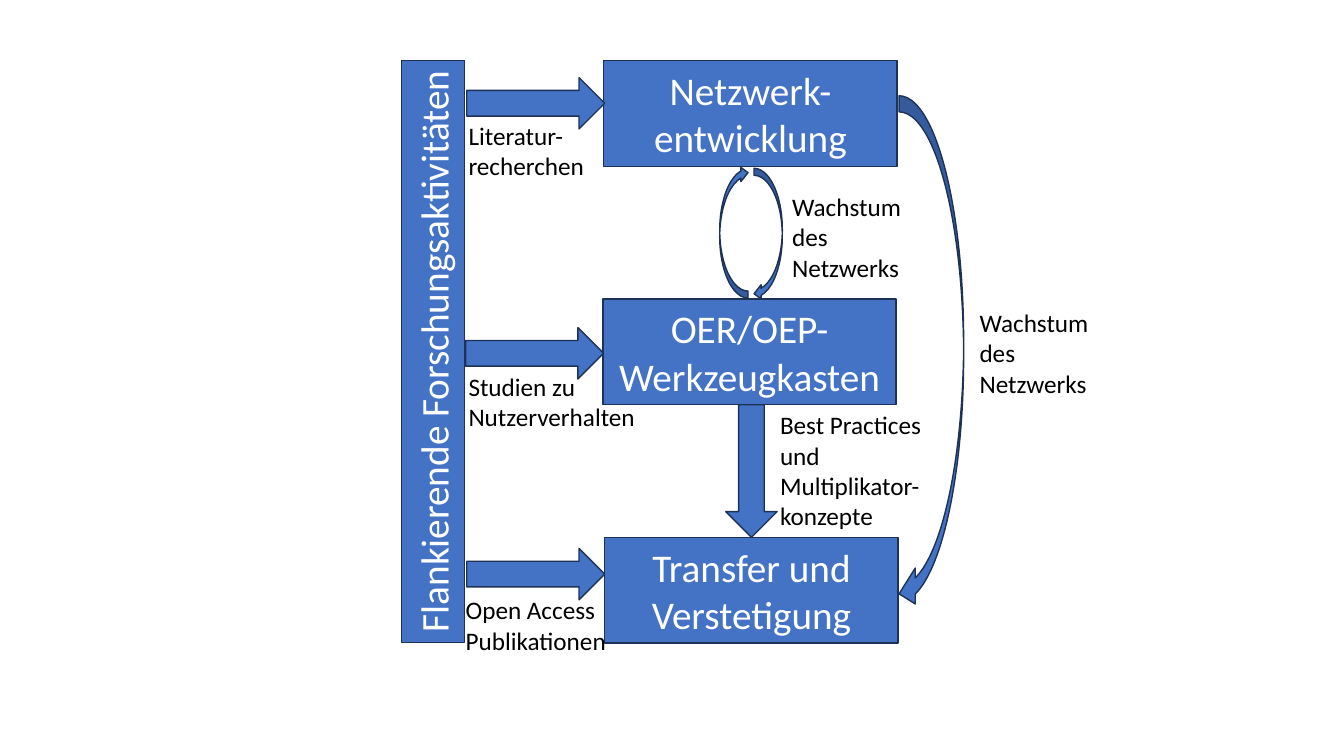
from pptx import Presentation
from pptx.dml.color import RGBColor
from pptx.enum.shapes import MSO_SHAPE as SHAPE
from pptx.enum.text import MSO_ANCHOR as ANCHOR, MSO_AUTO_SIZE as AUTO, PP_ALIGN as ALIGN
from pptx.util import Pt

BLUE, NAVY, WHITE, BLACK = "4472C4", "1E3256", "FFFFFF", "000000"
FONT = "Calibri"
GROWTH = ["Wachstum", "des", "Netzwerks"]
STAGE_W, STAGE_H, STAGE_STEP = 209.5, 75.6, 170.3
SHAFT = 36.7


def rgb(value):
    return RGBColor.from_string(value)


def add_run(p, text, size, color):
    r = p.add_run()
    r.text = text
    r.font.name, r.font.size = FONT, Pt(size)
    r.font.color.rgb = rgb(color)


def add_block(s, kind, x, y, w, h, angle=0):
    """Add a blue shape that covers the given box once it is turned."""
    if angle in (90, 270):
        x, y, w, h = x + (w - h) / 2, y + (h - w) / 2, h, w
    sp = s.shapes.add_shape(kind, Pt(x), Pt(y), Pt(w), Pt(h))
    sp.rotation = angle
    sp.shadow.inherit = False
    sp.fill.solid()
    sp.fill.fore_color.rgb = rgb(BLUE)
    sp.line.color.rgb = rgb(NAVY)
    sp.line.width = Pt(1)
    return sp


def add_box(s, text, x, y, w, h):
    sp = add_block(s, SHAPE.RECTANGLE, x, y, w, h)
    tf = sp.text_frame
    tf.word_wrap = True
    tf.vertical_anchor = ANCHOR.MIDDLE
    p = tf.paragraphs[0]
    p.alignment = ALIGN.CENTER
    add_run(p, text, 28, WHITE)
    return sp


def add_label(s, paragraphs, x, y, w, h):
    """Add a black label; a newline inside a paragraph is a line break."""
    tf = s.shapes.add_textbox(Pt(x), Pt(y), Pt(w), Pt(h)).text_frame
    tf.word_wrap = False
    tf.auto_size = AUTO.SHAPE_TO_FIT_TEXT
    for i, paragraph in enumerate(paragraphs):
        p = tf.add_paragraph() if i else tf.paragraphs[0]
        for j, line in enumerate(paragraph.split("\n")):
            if j:
                p.add_line_break()
            add_run(p, line, 18, BLACK)


def add_stages(s, x, y):
    """Stack the three stages and link them from top to bottom."""
    stages = [("Netzwerk-entwicklung", 0.7), ("OER/OEP-Werkzeugkasten", 0),
              ("Transfer und Verstetigung", 1.4)]
    for i, (text, shift) in enumerate(stages):
        add_box(s, text, x + shift, y + i * STAGE_STEP, STAGE_W, STAGE_H)

    gap = STAGE_STEP - STAGE_H
    for dx, dy, angle in [(83.5, 75, 270), (108, 77, 90)]:
        add_block(s, SHAPE.CURVED_DOWN_ARROW, x + dx, y + dy, 20.2, gap, angle)
    add_label(s, GROWTH, x + 128.1, y + 90, 97.2, 72.7)

    top = y + STAGE_STEP + STAGE_H
    add_block(s, SHAPE.DOWN_ARROW, x + 87.8, top, SHAFT, gap)
    add_label(s, ["Best Practices", "und", "Multiplikator-", "konzepte"],
              x + 119.5, top, 120.2, 94.3)


def add_growth_arc(s, x, y, w, h):
    arc = add_block(s, SHAPE.CURVED_DOWN_ARROW, x, y, w, h, 90)
    for i, value in enumerate([0.25, 0.557, 0.25]):
        arc.adjustments[i] = value
    add_label(s, GROWTH, x + w + 4.3, y + 147.6, 97.2, 72.7)


def add_research(s, x, y, w, h):
    """Draw the upright bar and its arrows towards the stages."""
    bar = add_box(s, "Flankierende Forschungsaktivitäten", x, y, w, h)
    bar.text_frame._txBody.bodyPr.set("vert", "vert270")
    activities = [
        (["Literatur-", "recherchen"], 12.2, 1.4, 38.9, -4.4, 97.9),
        (["Studien zu \nNutzerverhalten"], 190.8, 0.6, 218.2, -4.4, 134.6),
        (["Open Access\nPublikationen"], 348.5, 1.4, 378, -6.5, 115.9),
    ]
    for text, arrow_y, arrow_dx, label_y, label_dx, label_w in activities:
        add_block(s, SHAPE.DOWN_ARROW, x + w + arrow_dx, y + arrow_y, 98.6, SHAFT, 270)
        add_label(s, text, x + w + label_dx, y + label_y, label_w, 51.1)


def main():
    prs = Presentation()
    prs.slide_width, prs.slide_height = Pt(960), Pt(540)
    s = prs.slides.add_slide(prs.slide_layouts[6])
    add_stages(s, 430.6, 43.2)
    add_research(s, 286.6, 43.2, 45.4, 415.6)
    add_growth_arc(s, 642.2, 68.4, 46.1, 368.6)
    prs.save("out.pptx")


if __name__ == "__main__":
    main()
